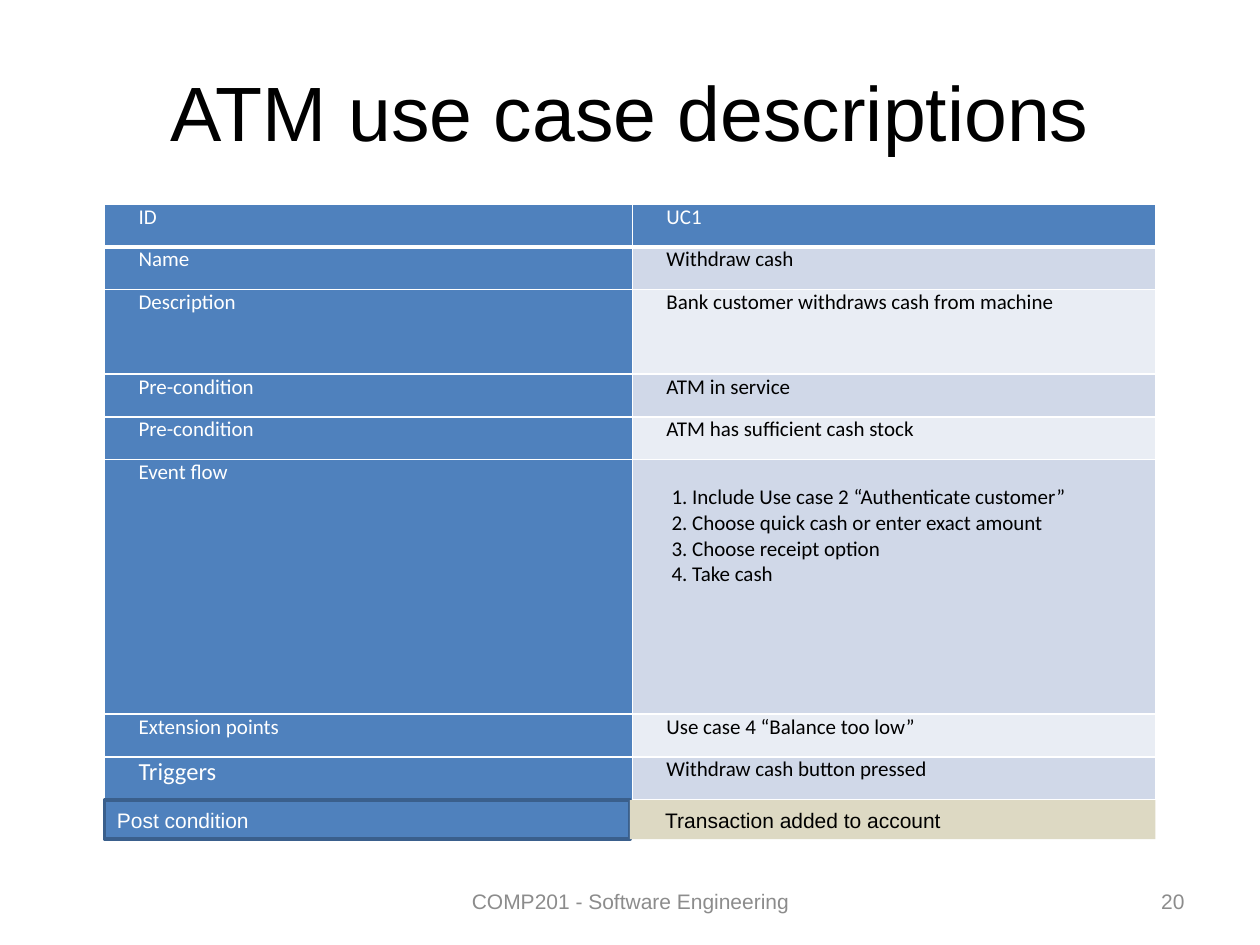
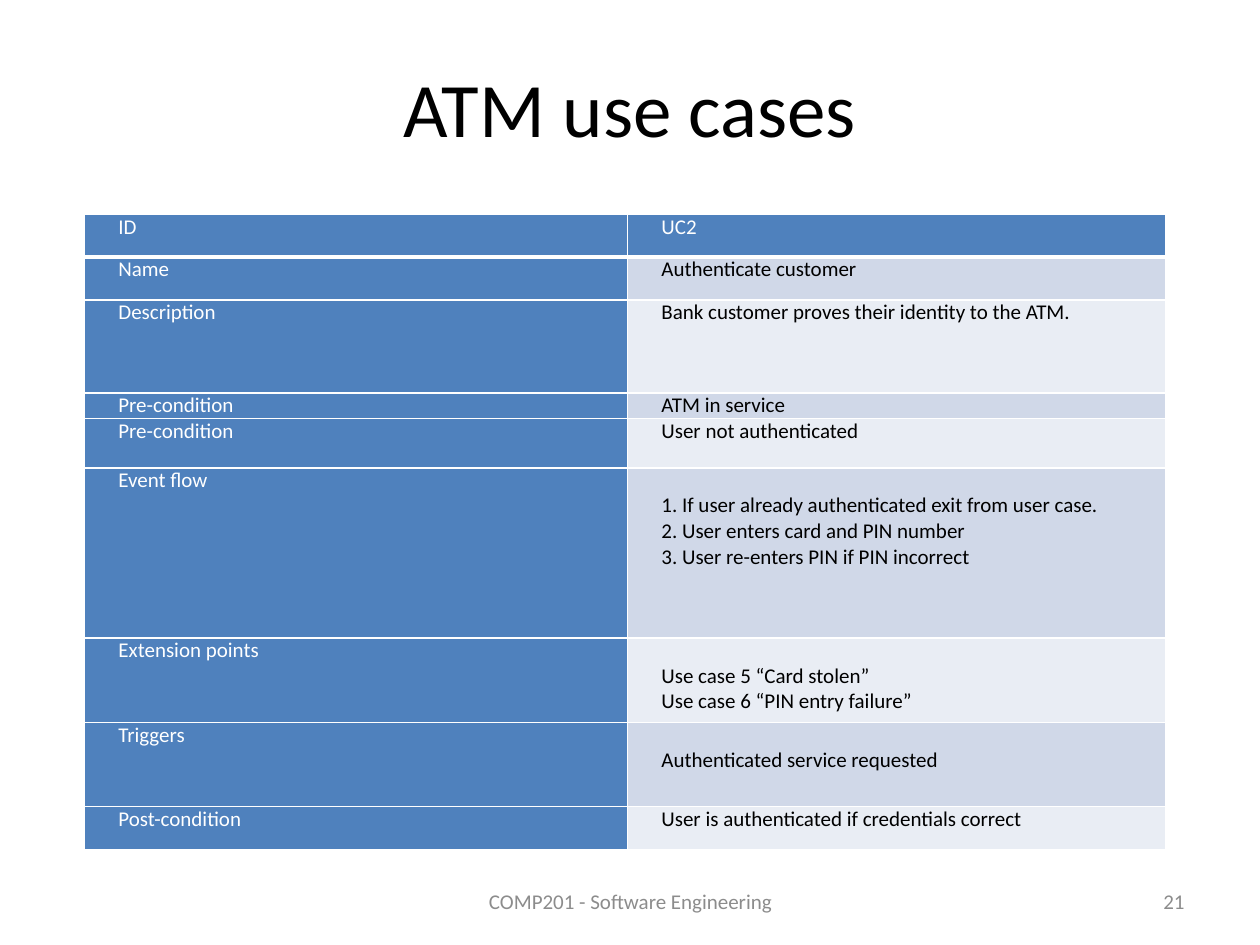
"""Build two slides that describe the use cases of a cash machine."""
from lxml import etree
from pptx import Presentation
from pptx import util as u
from pptx.dml.color import RGBColor
from pptx.enum import shapes, text
from pptx.oxml import ns

COLOURS = {
    "black": "000000", "white": "FFFFFF", "grey": "8C8C8C",
    "blue": "4F81BD", "outline": "3A5F8C", "sand": "DDD9C3",
    "odd": "D0D8E8", "even": "E9EDF4",
}
FOOTER = "COMP201 - Software Engineering"
FOOTER_AT = (3.42, 6.95, 3.17, 0.4)
NUMBER_AT = (7.17, 6.95, 2.33, 0.4)
CELL_INDENT = 0.27
LINE_HEIGHT = 0.2

SLIDES = [
    {
        "title": "ATM use case descriptions",
        "title_at": (0.5, 0.44, 9, 0.87),
        "font": "Arial",
        "number": "20",
        "table_at": (0.83, 1.62),
        "columns": (4.19, 4.15),
        "rows": [
            ("ID", "UC1", 0.34, {}),
            ("Name", "Withdraw cash", 0.34, {}),
            ("Description", "Bank customer withdraws cash from machine", 0.67, {}),
            ("Pre-condition", "ATM in service", 0.34, {}),
            ("Pre-condition", "ATM has sufficient cash stock", 0.34, {}),
            ("Event flow",
             "1. Include Use case 2 “Authenticate customer”\n"
             "2. Choose quick cash or enter exact amount\n"
             "3. Choose receipt option\n"
             "4. Take cash", 2.02, {"top": LINE_HEIGHT, "left": 0.31}),
            ("Extension points", "Use case 4 “Balance too low”", 0.34, {}),
            ("Triggers", "Withdraw cash button pressed", 0.34, {"label_size": 14}),
        ],
        "boxes": [
            ("Post condition", (0.83, 6.35, 4.17, 0.31), "blue", "outline", "white", 0.1),
            ("Transaction added to account", (5, 6.35, 4.17, 0.31), "sand", None, "black", 0.28),
        ],
    },
    {
        "title": "ATM use cases",
        "title_at": (0.5, 0.3, 9, 1.09),
        "font": "Calibri",
        "number": "21",
        "table_at": (0.67, 1.7),
        "columns": (4.31, 4.27),
        "rows": [
            ("ID", "UC2", 0.34, {}),
            ("Name", "Authenticate customer", 0.34, {}),
            ("Description", "Bank customer proves their identity to the ATM.", 0.74, {}),
            ("Pre-condition", "ATM in service", 0.2, {}),
            ("Pre-condition", "User not authenticated", 0.39, {}),
            ("Event flow",
             "1. If user already authenticated exit from user case.\n"
             "2. User enters card and PIN number\n"
             "3. User re-enters PIN if PIN incorrect", 1.35, {"top": LINE_HEIGHT}),
            ("Extension points",
             "Use case 5 “Card stolen”\nUse case 6 “PIN entry failure”",
             0.67, {"top": LINE_HEIGHT}),
            ("Triggers", "Authenticated service requested", 0.67, {"top": LINE_HEIGHT}),
            ("Post-condition", "User is authenticated if credentials correct", 0.34, {}),
        ],
        "boxes": [],
    },
]


def rgb(name):
    return RGBColor.from_string(COLOURS[name])


def inches(values):
    return [u.Inches(value) for value in values]


def set_attributes(target, values):
    for name, value in values.items():
        setattr(target, name, value)


def write(frame, content, font, size, colour, align="LEFT"):
    frame.text = content
    for paragraph in frame.paragraphs:
        paragraph.alignment = getattr(text.PP_ALIGN, align)
        set_attributes(paragraph.font, {"name": font, "size": u.Pt(size), "bold": False})
        paragraph.font.color.rgb = rgb(colour)


def centre_vertically(frame):
    set_attributes(frame, {"word_wrap": True, "vertical_anchor": text.MSO_ANCHOR.MIDDLE})


def add_title(slide, content):
    title = slide.shapes.title
    places = inches(content["title_at"])
    set_attributes(title, dict(zip(("left", "top", "width", "height"), places)))
    write(title.text_frame, content["title"], content["font"], 44, "black", "CENTER")
    centre_vertically(title.text_frame)


def add_label(slide, content, place, font, align):
    frame = slide.shapes.add_textbox(*inches(place)).text_frame
    write(frame, content, font, 12, "grey", align)
    centre_vertically(frame)


def add_box(slide, font, content, place, fill, line, colour, indent):
    box = slide.shapes.add_shape(shapes.MSO_SHAPE.RECTANGLE, *inches(place))
    box.shadow.inherit = False
    box.fill.solid()
    box.fill.fore_color.rgb = rgb(fill)
    if line:
        box.line.color.rgb = rgb(line)
        box.line.width = u.Pt(2)
    else:
        box.line.fill.background()
    write(box.text_frame, content, font, 12, colour)
    centre_vertically(box.text_frame)
    box.text_frame.margin_left = u.Inches(indent)


def add_borders(cell, widths):
    properties = cell._tc.get_or_add_tcPr()
    for side, width in zip("LRTB", widths):
        line = etree.SubElement(properties, ns.qn(f"a:ln{side}"), w=str(u.Pt(width)))
        fill = etree.SubElement(line, ns.qn("a:solidFill"))
        etree.SubElement(fill, ns.qn("a:srgbClr"), val=COLOURS["white"])


def fill_cell(cell, content, size, colour, fill, borders, left=CELL_INDENT, top=0):
    write(cell.text_frame, content, "Calibri", size, colour)
    margins = inches((left, top, 0.07, 0))
    names = ("margin_left", "margin_top", "margin_right", "margin_bottom")
    set_attributes(cell, dict(zip(names, margins)))
    add_borders(cell, borders)
    cell.fill.solid()
    cell.fill.fore_color.rgb = rgb(fill)


def add_use_case_table(slide, content):
    rows, columns = content["rows"], content["columns"]
    size = (sum(columns), sum(row[2] for row in rows))
    place = inches(content["table_at"] + size)
    table = slide.shapes.add_table(len(rows), len(columns), *place).table
    table.horz_banding = False
    for column, width in zip(table.columns, columns):
        column.width = u.Inches(width)
    for index, (label, value, height, options) in enumerate(rows):
        table.rows[index].height = u.Inches(height)
        header = index == 0
        borders = (1, 1, 3 if index == 1 else 1, 3 if header else 1)
        value_colour = "white" if header else "black"
        value_fill = "blue" if header else ("even", "odd")[index % 2]
        fill_cell(table.cell(index, 0), label, options.get("label_size", 12),
                  "white", "blue", borders)
        fill_cell(table.cell(index, 1), value, 12, value_colour, value_fill, borders,
                  options.get("left", CELL_INDENT), options.get("top", 0))


def main():
    presentation = Presentation()
    presentation.slide_width, presentation.slide_height = inches((10, 7.5))
    for content in SLIDES:
        slide = presentation.slides.add_slide(presentation.slide_layouts[5])
        add_title(slide, content)
        add_use_case_table(slide, content)
        for box in content["boxes"]:
            add_box(slide, content["font"], *box)
        add_label(slide, FOOTER, FOOTER_AT, content["font"], "CENTER")
        add_label(slide, content["number"], NUMBER_AT, content["font"], "RIGHT")
    presentation.save("out.pptx")


if __name__ == "__main__":
    main()
